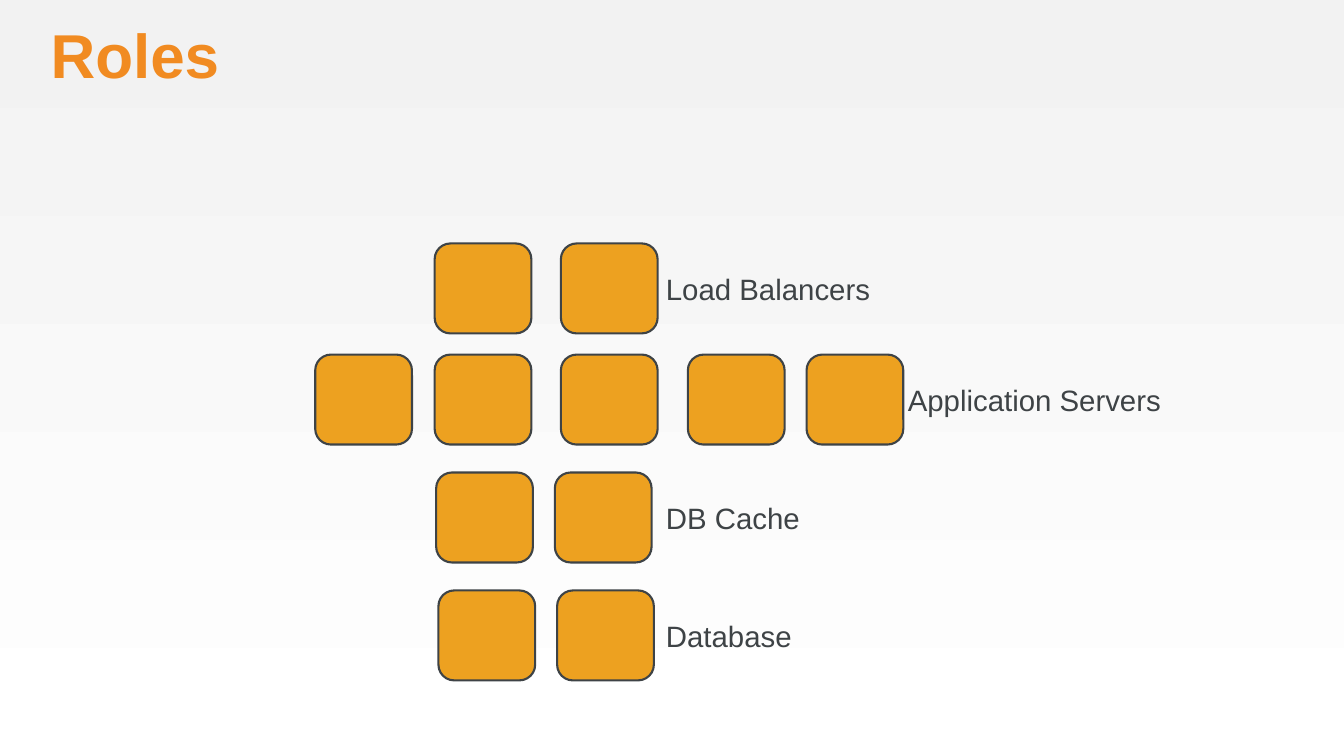
from pptx import Presentation
from pptx.dml.color import RGBColor
from pptx.enum.shapes import MSO_SHAPE
from pptx.enum.text import MSO_ANCHOR
from pptx.util import Inches, Pt

TITLE = "Roles"
ROLES = [
    ("Load Balancers", 3.22, [5.75, 7.42], 8.81),
    ("Application Servers", 4.69, [4.17, 5.75, 7.42, 9.1, 10.67], 12.01),
    ("DB Cache", 6.25, [5.77, 7.34], 8.81),
    ("Database", 7.81, [5.8, 7.37], 8.81),
]
BACKGROUND = ["F2F2F2", "FFFFFF"]
TITLE_COLOR, SERVER_COLOR, DARK = "F18B21", "EDA120", "3E4346"
SERVER_WIDTH, SERVER_HEIGHT = 1.28, 1.19
LABEL_WIDTH, LABEL_HEIGHT = 4.6, 0.58


def color(value):
    return RGBColor.from_string(value)


def add_text(slide, text, box, size, text_color, anchor, bold=False):
    frame = slide.shapes.add_textbox(*map(Inches, box)).text_frame
    frame.word_wrap = True
    frame.vertical_anchor = anchor
    frame.margin_left = frame.margin_right = frame.margin_top = frame.margin_bottom = 0
    paragraph = frame.paragraphs[0]
    paragraph.text = text
    font = paragraph.font
    font.name, font.size, font.bold = "Arial", Pt(size), bold
    font.color.rgb = color(text_color)
    return paragraph


def add_server(slide, left, top):
    box = (left, top, SERVER_WIDTH, SERVER_HEIGHT)
    shape = slide.shapes.add_shape(MSO_SHAPE.ROUNDED_RECTANGLE, *map(Inches, box))
    shape.adjustments[0] = 0.175
    shape.shadow.inherit = False
    shape.fill.solid()
    shape.fill.fore_color.rgb = color(SERVER_COLOR)
    shape.line.color.rgb = color(DARK)
    shape.line.width = Pt(2)


presentation = Presentation()
presentation.slide_width, presentation.slide_height = Inches(17.78), Inches(10)
slide = presentation.slides.add_slide(presentation.slide_layouts[6])

fill = slide.background.fill
fill.gradient()
fill.gradient_angle = 270
for stop, value in zip(fill.gradient_stops, BACKGROUND):
    stop.color.rgb = color(value)

title = add_text(slide, TITLE, (0.67, 0.33, 16.33, 0.91), 59, TITLE_COLOR, MSO_ANCHOR.TOP, True)
title.line_spacing = 0.9

for role, top, lefts, label_left in ROLES:
    for left in lefts:
        add_server(slide, left, top)
    label_top = top + (SERVER_HEIGHT - LABEL_HEIGHT) / 2
    add_text(slide, role, (label_left, label_top, LABEL_WIDTH, LABEL_HEIGHT), 28, DARK, MSO_ANCHOR.MIDDLE)

presentation.save("out.pptx")
